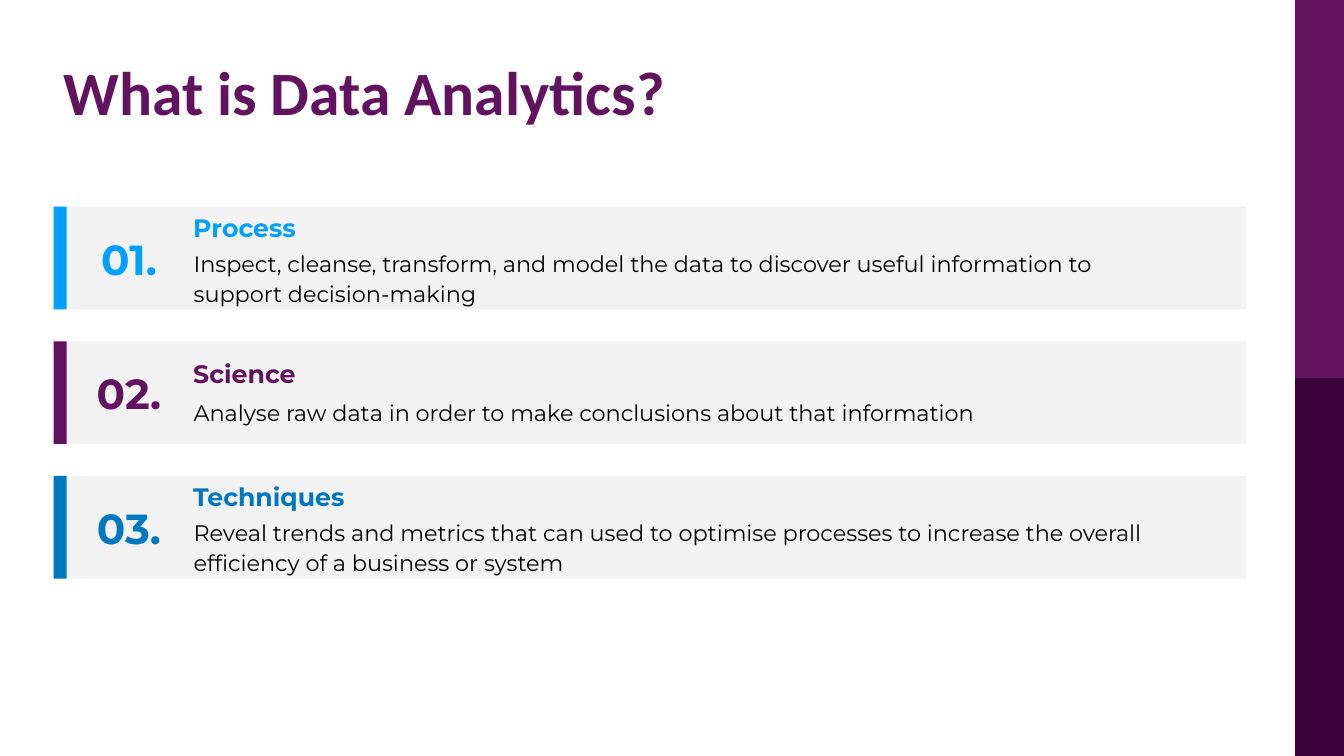
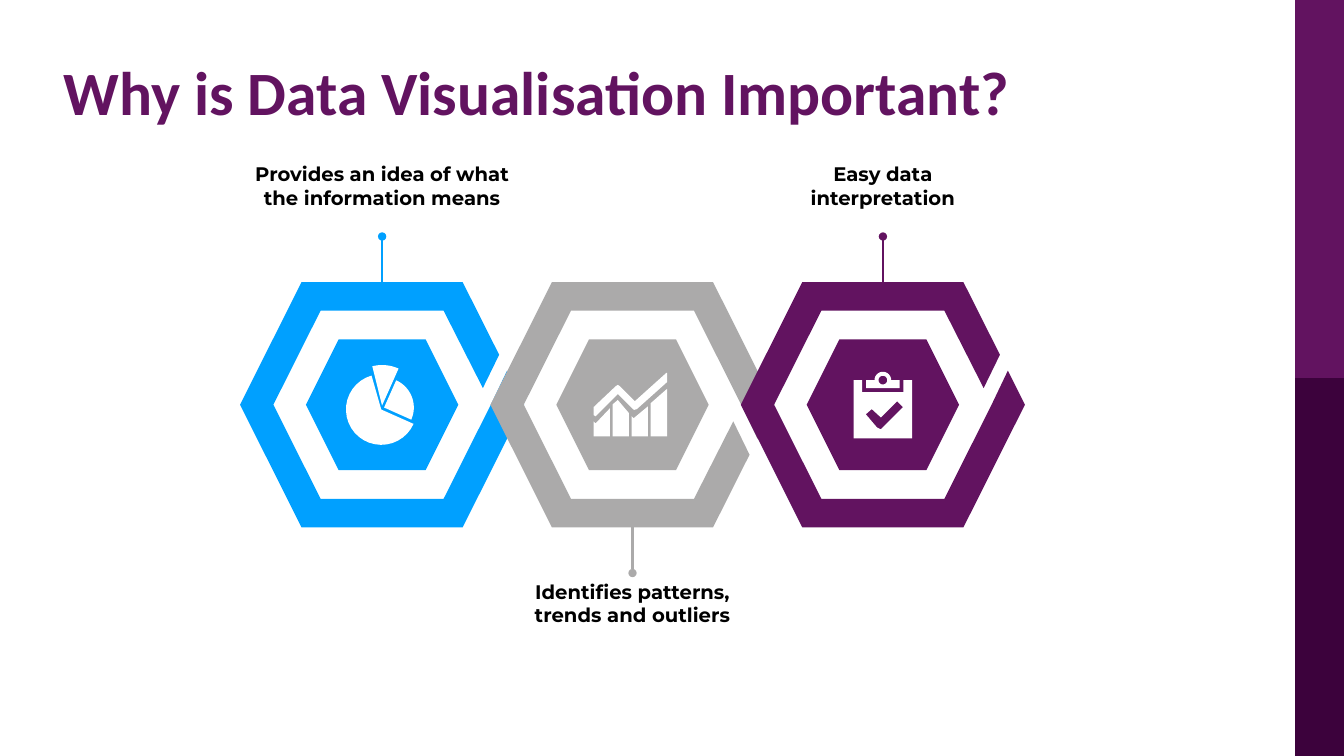
from math import cos, radians, sin
from lxml.etree import SubElement
from pptx import Presentation
from pptx.dml.color import RGBColor
from pptx.enum.shapes import MSO_CONNECTOR, MSO_SHAPE
from pptx.enum.text import MSO_ANCHOR, PP_ALIGN
from pptx.oxml.ns import qn
from pptx.util import Cm, Pt

PLUM = RGBColor(0x62, 0x13, 0x60)
DARK = RGBColor(0x3C, 0x02, 0x3C)
SKY = RGBColor(0x00, 0xA0, 0xFF)
BLUE = RGBColor(0x00, 0x78, 0xBF)
GRAY = RGBColor(0xAB, 0xAA, 0xAA)
PALE = RGBColor(0xF2, 0xF2, 0xF2)
BLACK = RGBColor(0, 0, 0)
WHITE = RGBColor(255, 255, 255)
WIDE, HIGH = 33.87, 19.05
BAND = 1.23
LEFT = 1.35


def paint(shape, color):
    shape.shadow.inherit = False
    shape.fill.solid()
    shape.fill.fore_color.rgb = color
    shape.line.fill.background()


def write(slide, words, place, size, color, bold=True, font="Montserrat",
          align=PP_ALIGN.LEFT, anchor=MSO_ANCHOR.TOP, inset=(0.25, 0.13), lead=1.0):
    frame = slide.shapes.add_textbox(*map(Cm, place)).text_frame
    frame.word_wrap = True
    frame.vertical_anchor = anchor
    frame.margin_left = frame.margin_right = Cm(inset[0])
    frame.margin_top = frame.margin_bottom = Cm(inset[1])
    para = frame.paragraphs[0]
    para.alignment = align
    para.line_spacing = lead
    run = para.add_run()
    run.text = words
    run.font.name = font
    run.font.size = Pt(size)
    run.font.bold = bold
    run.font.color.rgb = color


deck = Presentation()
deck.slide_width, deck.slide_height = Cm(WIDE), Cm(HIGH)
slides = []
for title in ["What is Data Analytics?", "Why is Data Visualisation Important?"]:
    slide = deck.slides.add_slide(deck.slide_layouts[6])
    for top, color in [(HIGH / 2, DARK), (0, PLUM)]:
        paint(slide.shapes.add_shape(MSO_SHAPE.RECTANGLE, Cm(WIDE - BAND), Cm(top),
                                     Cm(BAND), Cm(HIGH / 2)), color)
    write(slide, title, (LEFT, 1.55, 30.96, 3.15), 44, PLUM, font="Calibri", lead=0.82)
    slides.append(slide)
first, second = slides

rows = [
    ("Process", "Inspect, cleanse, transform, and model the data to discover useful "
     "information to support decision-making", SKY, 24.61, 0.02, 0.99),
    ("Science", "Analyse raw data in order to make conclusions about that information",
     PLUM, 20.88, 0.3, 1.35),
    ("Techniques", "Reveal trends and metrics that can used to optimise processes to "
     "increase the overall efficiency of a business or system", BLUE, 25.76, 0.02, 0.99),
]
for i, (head, body, color, width, drop, below) in enumerate(rows):
    top = 5.21 + 3.39 * i
    for span, fill in [(30.05, PALE), (0.33, color)]:
        paint(first.shapes.add_shape(MSO_SHAPE.RECTANGLE, Cm(LEFT), Cm(top),
                                     Cm(span), Cm(2.59)), fill)
    write(first, head, (4.62, top + drop, 6.5, 1.02), 18, color, anchor=MSO_ANCHOR.BOTTOM)
    write(first, body, (4.75, top + below, width, 1.55), 16, BLACK, bold=False,
          inset=(0.13, 0.05), lead=1.09)
    write(first, f"{i + 1:02}.", (2.15, top + 0.53, 2.2, 1.55), 30, color,
          align=PP_ALIGN.CENTER, anchor=MSO_ANCHOR.MIDDLE)

RING = [(-2.03, 3.09), (2.03, 3.09), (3.58, 0), (3.15, -0.86), (2.74, 0),
        (1.55, 2.37), (-1.55, 2.37), (-2.74, 0), (-1.55, -2.37), (1.55, -2.37),
        (2.54, -0.42), (2.95, -1.26), (2.03, -3.09), (-2.03, -3.09), (-3.58, 0)]
big, slim, tall, knob, hole = [
    [(x + r * cos(radians(a + (b - a) * k / 24)),
      y + r * sin(radians(a + (b - a) * k / 24))) for k in range(25)]
    for x, y, r, a, b in [(-0.02, 0.12, 0.89, 24, 254), (0.05, 0.07, 0.75, -66, 24),
                          (0, 0.02, 1.02, 256, 294), (0, -0.62, 0.21, 360, 180),
                          (0, -0.62, 0.11, 0, 360)]]
pie = [[[(0.05, 0.07)] + slim], [[(-0.02, 0.12)] + big], [[(0, 0.02)] + tall]]

tops = [[(0.41, 0.09), (0.05, 0.47), (0, 0.42)],
        [(0.41, 0.21), (0.13, -0.12), (0, -0.01)],
        [(0.41, 0.04), (0.05, 0.34), (0, 0.29)],
        [(0.41, -0.4), (0, -0.04)]]
chart = [[[(-0.98 + 0.48 * i + x, y) for x, y in [(0, 0.8), (0.41, 0.8)] + peak]]
         for i, peak in enumerate(tops)]
chart.append([[(0.85, -0.8), (0.06, -0.09), (-0.32, -0.47), (-0.37, -0.5),
               (-0.42, -0.47), (-0.98, 0.06), (-0.98, 0.26), (-0.93, 0.29),
               (-0.37, -0.27), (-0.01, 0.09), (0.04, 0.13), (0.11, 0.11),
               (0.87, -0.57), (0.87, -0.8)]])

clip = [[(0.42, -0.62)] + knob + [(-0.42, -0.62), (-0.42, -0.42), (0.42, -0.42)], hole]
board = [[(0.52, -0.62), (0.52, -0.32), (-0.52, -0.32), (-0.52, -0.62),
          (-0.74, -0.62), (-0.74, 0.85), (0.74, 0.85), (0.74, -0.62)],
         [(-0.05, 0.62), (-0.15, 0.57), (-0.43, 0.24), (-0.28, 0.11),
          (-0.05, 0.32), (0.36, -0.09), (0.51, 0.06)]]

MID = 10.2
cells = [
    ("Provides an idea of what the information means", SKY, -1, 7.29, 4.09, pie),
    ("Identifies patterns, trends and outliers", GRAY, 1, 5.49, 14.61, chart),
    ("Easy data interpretation", PLUM, -1, 4.29, 4.09, [clip, board]),
]
for i, (label, color, side, width, top, icon) in enumerate(cells):
    mid = 9.63 + 6.31 * i
    ring = [[(x, -side * y) for x, y in RING]]
    hexa = second.shapes.add_shape(MSO_SHAPE.HEXAGON, Cm(mid - 1.92), Cm(MID - 1.65),
                                   Cm(3.84), Cm(3.3))
    hexa.adjustments[0] = 0.25
    paint(hexa, color)
    for loops, fill in [(ring, color)] + [(part, WHITE) for part in icon]:
        spots = [[(Cm(mid + x), Cm(MID + y)) for x, y in loop] for loop in loops]
        pen = second.shapes.build_freeform(*spots[0][0])
        pen.add_line_segments(spots[0][1:])
        for loop in spots[1:]:
            pen.move_to(*loop[0])
            pen.add_line_segments(loop[1:])
        paint(pen.convert_to_shape(), fill)
    stem = second.shapes.add_connector(MSO_CONNECTOR.STRAIGHT,
                                       Cm(mid), Cm(MID + side * 4.24),
                                       Cm(mid), Cm(MID + side * 2.93))
    stem.line.color.rgb = color
    stem.line.width = Pt(1.5)
    props = stem._element.spPr
    SubElement(props.find(qn("a:ln")), qn("a:headEnd"), type="oval")
    SubElement(props, qn("a:effectLst"))
    write(second, label, (mid - width / 2, top, width, 1.19), 14, BLACK,
          align=PP_ALIGN.CENTER, inset=(0, 0))

deck.save("out.pptx")
